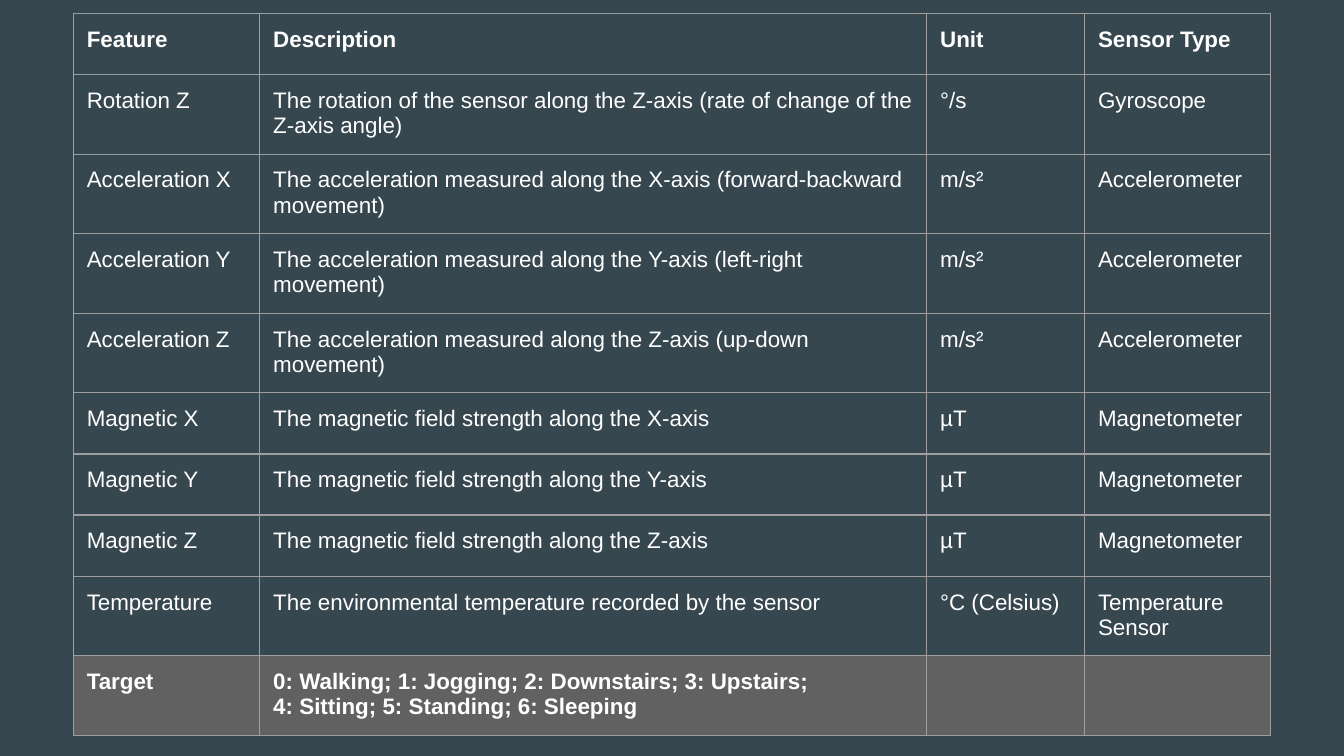
from lxml import etree
from pptx import Presentation
from pptx.dml.color import RGBColor
from pptx.oxml import ns
from pptx.util import Pt

BACKGROUND = RGBColor(0x37, 0x47, 0x4F)
BORDER = RGBColor(0x9E, 0x9E, 0x9E)
TARGET_FILL = RGBColor(0x61, 0x61, 0x61)
WHITE = RGBColor(0xFF, 0xFF, 0xFF)

COLUMN_WIDTHS = (99.9, 357.3, 84.6, 99.6)
SHORT_ROW, TALL_ROW = 32.75, 42.65
TALL_ROWS = {1, 2, 3, 4, 8, 9}

HEADER = ("Feature", "Description", "Unit", "Sensor Type")
ROTATION = (
    "Rotation Z",
    "The rotation of the sensor along the Z-axis (rate of change of the Z-axis angle)",
    "°/s",
    "Gyroscope",
)
ACCELERATIONS = [
    (
        f"Acceleration {axis}",
        f"The acceleration measured along the {axis}-axis ({direction} movement)",
        "m/s²",
        "Accelerometer",
    )
    for axis, direction in (("X", "forward-backward"), ("Y", "left-right"), ("Z", "up-down"))
]
MAGNETICS = [
    (f"Magnetic {axis}", f"The magnetic field strength along the {axis}-axis", "µT", "Magnetometer")
    for axis in "XYZ"
]
TEMPERATURE = (
    "Temperature",
    "The environmental temperature recorded by the sensor",
    "°C (Celsius)",
    "Temperature Sensor",
)
TARGET = (
    "Target",
    "0: Walking; 1: Jogging; 2: Downstairs; 3: Upstairs;\n4: Sitting; 5: Standing; 6: Sleeping",
    "",
    "",
)
ROWS = [HEADER, ROTATION, *ACCELERATIONS, *MAGNETICS, TEMPERATURE, TARGET]


def set_borders(cell):
    tc_pr = cell._tc.get_or_add_tcPr()
    for side in ("lnL", "lnR", "lnT", "lnB"):
        ln = etree.SubElement(tc_pr, ns.qn(f"a:{side}"), w=str(Pt(0.75)))
        fill = etree.SubElement(ln, ns.qn("a:solidFill"))
        etree.SubElement(fill, ns.qn("a:srgbClr"), val=str(BORDER))


def fill_cell(cell, content, bold, color):
    cell.margin_left = cell.margin_right = Pt(7.2)
    cell.margin_top = cell.margin_bottom = Pt(7.2)
    set_borders(cell)
    if color is None:
        cell.fill.background()
    else:
        cell.fill.solid()
        cell.fill.fore_color.rgb = color
    tf = cell.text_frame
    tf.text = content
    for p in tf.paragraphs:
        p.font.name = "Arial"
        p.font.size = Pt(12)
        p.font.bold = bold
        p.font.color.rgb = WHITE


def add_feature_table(slide, left, top, width, height):
    table = slide.shapes.add_table(
        len(ROWS), len(HEADER), Pt(left), Pt(top), Pt(width), Pt(height)
    ).table
    table.first_row = False
    table.horz_banding = False
    for column, share in zip(table.columns, COLUMN_WIDTHS):
        column.width = Pt(width * share / sum(COLUMN_WIDTHS))
    heights = [TALL_ROW if i in TALL_ROWS else SHORT_ROW for i in range(len(ROWS))]
    for i, values in enumerate(ROWS):
        table.rows[i].height = Pt(height * heights[i] / sum(heights))
        bold = values in (HEADER, TARGET)
        color = TARGET_FILL if values == TARGET else None
        for j, content in enumerate(values):
            fill_cell(table.cell(i, j), content, bold, color)


def main():
    prs = Presentation()
    prs.slide_width, prs.slide_height = Pt(720), Pt(405)
    slide = prs.slides.add_slide(prs.slide_layouts[6])
    slide.background.fill.solid()
    slide.background.fill.fore_color.rgb = BACKGROUND
    add_feature_table(slide, 39.3, 7.2, 641.4, 386.9)
    prs.save("out.pptx")


if __name__ == "__main__":
    main()
